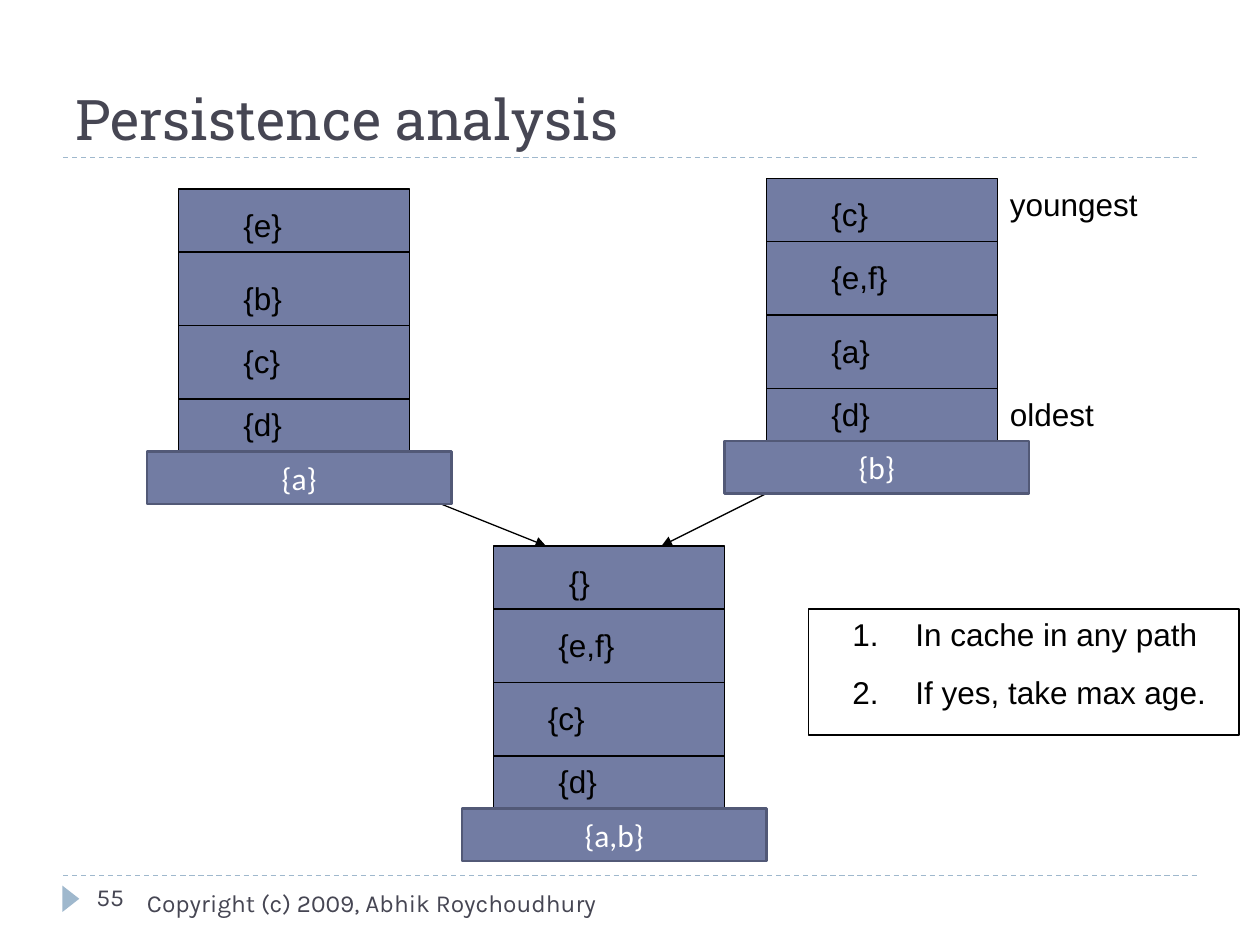
"""Build the persistence analysis slide with two cache states and their join."""
from dataclasses import dataclass
from typing import Optional

from lxml import etree
from pptx import Presentation
from pptx.dml.color import RGBColor
from pptx.enum.dml import MSO_LINE
from pptx.enum.shapes import MSO_CONNECTOR, MSO_SHAPE
from pptx.enum.text import MSO_ANCHOR, PP_ALIGN
from pptx.oxml.ns import qn
from pptx.util import Cm, Pt

RECT, TRIANGLE = MSO_SHAPE.RECTANGLE, MSO_SHAPE.ISOSCELES_TRIANGLE
STRAIGHT, DASH = MSO_CONNECTOR.STRAIGHT, MSO_LINE.DASH
LEFT, CENTER, RIGHT = PP_ALIGN.LEFT, PP_ALIGN.CENTER, PP_ALIGN.RIGHT
TOP, MIDDLE, BOTTOM = MSO_ANCHOR.TOP, MSO_ANCHOR.MIDDLE, MSO_ANCHOR.BOTTOM

BLACK = RGBColor(0x00, 0x00, 0x00)
WHITE = RGBColor(0xFF, 0xFF, 0xFF)
SLATE = RGBColor(0x46, 0x46, 0x53)
BLUE = RGBColor(0x72, 0x7C, 0xA3)
DARK_BLUE = RGBColor(0x52, 0x59, 0x77)
PALE_BLUE = RGBColor(0x9F, 0xB8, 0xCD)

STACK_W, STACK_H = 22, 25
DIVIDERS = (6, 13, 20)
BASE_W, BASE_H = 29, 5
LABEL_W, LABEL_H = 13, 4.8


@dataclass(frozen=True)
class Font:
    name: str
    size: float
    color: RGBColor


@dataclass(frozen=True)
class Label:
    text: str
    dx: float
    dy: float


@dataclass(frozen=True)
class Stack:
    left: float
    top: float
    labels: tuple[Label, ...]
    base_text: str
    base_dx: float


TITLE = Font("Roboto Slab", 32, SLATE)
FOOTER = Font("Karla", 14, SLATE)
BODY = Font("Arial", 18, BLACK)
BASE = Font("Calibri", 18, WHITE)

STACKS = (
    Stack(17, 18, (Label("{e}", 5, 1), Label("{b}", 5, 8),
                   Label("{c}", 5, 14), Label("{d}", 5, 20)), "{a}", -3),
    Stack(73, 17, (Label("{c}", 5, 1), Label("{e,f}", 5, 7),
                   Label("{a}", 5, 14), Label("{d}", 5, 20)), "{b}", -4),
    Stack(47, 52, (Label("{}", 6, 1), Label("{e,f}", 5, 7),
                   Label("{c}", 4, 14), Label("{d}", 5, 20)), "{a,b}", -3),
)
ARROWS = ((42, 48, 52, 52), (73, 47, 63, 52))
RULES = (("youngest", 17), ("oldest", 37))
STEPS = ("In cache in any path", "If yes, take max age.")


def grid(n: float) -> Cm:
    """Return a length of n twelfths of an inch."""
    return Cm(n * 2.54 / 12)


def add_line(s, x1: float, y1: float, x2: float, y2: float,
             color: RGBColor = BLACK, dashed: bool = False, arrow: bool = False) -> None:
    """Draw a straight line, optionally dashed or with an arrowhead."""
    cx = s.shapes.add_connector(STRAIGHT, grid(x1), grid(y1), grid(x2), grid(y2))
    cx.line.color.rgb = color
    cx.line.width = Pt(0.75)
    if dashed:
        cx.line.dash_style = DASH
    if arrow:
        etree.SubElement(cx.line._get_or_add_ln(), qn("a:tailEnd"), type="triangle")
    etree.SubElement(cx._element.spPr, qn("a:effectLst"))


def add_box(s, left: float, top: float, width: float, height: float,
            fill: Optional[RGBColor] = None, line: Optional[RGBColor] = None,
            weight: float = 0.75, kind: MSO_SHAPE = RECT):
    """Draw a preset shape with its fill and outline."""
    sp = s.shapes.add_shape(kind, grid(left), grid(top), grid(width), grid(height))
    sp.shadow.inherit = False
    if fill is None:
        sp.fill.background()
    else:
        sp.fill.solid()
        sp.fill.fore_color.rgb = fill
    if line is None:
        sp.line.fill.background()
    else:
        sp.line.color.rgb = line
        sp.line.width = Pt(weight)
    return sp


def write(tf, lines: tuple[str, ...], font: Font, align: PP_ALIGN = LEFT,
          anchor: MSO_ANCHOR = TOP, numbered: bool = False) -> None:
    """Fill a text frame with one paragraph per line."""
    tf.word_wrap = True
    tf.vertical_anchor = anchor
    for i, text in enumerate(lines):
        p = tf.add_paragraph() if i else tf.paragraphs[0]
        p.alignment = align
        if i:
            p.space_before = Pt(11.2)
        if numbered:
            pPr = p._p.get_or_add_pPr()
            pPr.set("marL", str(grid(6)))
            pPr.set("indent", str(-grid(6)))
            etree.SubElement(pPr, qn("a:buFont"), typeface=font.name)
            etree.SubElement(pPr, qn("a:buAutoNum"), type="arabicPeriod")
        r = p.add_run()
        r.text = text
        r.font.name = font.name
        r.font.size = Pt(font.size)
        r.font.color.rgb = font.color


def add_text(s, left: float, top: float, width: float, height: float,
             lines: tuple[str, ...], font: Font, align: PP_ALIGN = LEFT,
             anchor: MSO_ANCHOR = TOP, numbered: bool = False) -> None:
    """Place a text box."""
    sp = s.shapes.add_textbox(grid(left), grid(top), grid(width), grid(height))
    write(sp.text_frame, lines, font, align, anchor, numbered)


def add_stack(s, stack: Stack) -> None:
    """Draw a cache stack with its dividers."""
    add_box(s, stack.left, stack.top, STACK_W, STACK_H, BLUE, BLACK)
    for dy in DIVIDERS:
        y = stack.top + dy
        add_line(s, stack.left, y, stack.left + STACK_W, y)


def add_labels(s, stack: Stack) -> None:
    """Write the cache contents of a stack."""
    for label in stack.labels:
        add_text(s, stack.left + label.dx, stack.top + label.dy,
                 LABEL_W, LABEL_H, (label.text,), BODY)


def add_base(s, stack: Stack) -> None:
    """Draw the wide block under a stack."""
    sp = add_box(s, stack.left + stack.base_dx, stack.top + STACK_H,
                 BASE_W, BASE_H, BLUE, DARK_BLUE, 1.5)
    write(sp.text_frame, (stack.base_text,), BASE, CENTER, MIDDLE)


def main() -> None:
    """Build and save the slide."""
    prs = Presentation()
    prs.slide_width, prs.slide_height = Cm(25.4), Cm(19.05)
    s = prs.slides.add_slide(prs.slide_layouts[6])

    for y in (83.4, 15):
        add_line(s, 6, y, 114, y, PALE_BLUE, dashed=True)
    marker = add_box(s, 5.5, 84.8, 2.5, 1.6, PALE_BLUE, kind=TRIANGLE)
    marker.rotation = 90
    add_text(s, 6, 2, 108, 13, ("Persistence analysis",), TITLE, anchor=BOTTOM)
    add_text(s, 6, 84, 52, 6, ("Copyright (c) 2009, Abhik Roychoudhury",), FOOTER, RIGHT)
    add_text(s, 8, 83.4, 26, LABEL_H, ("55",), FOOTER)

    for stack in STACKS:
        add_stack(s, stack)
    for ends in ARROWS:
        add_line(s, *ends, arrow=True)
    for stack in STACKS:
        add_labels(s, stack)
    for text, top in RULES:
        add_text(s, 95, top, 17, LABEL_H, (text,), BODY)
    add_text(s, 80, 58, 40, 10.3, STEPS, BODY, numbered=True)
    add_box(s, 77, 58, 41, 12, line=BLACK)
    for stack in STACKS:
        add_base(s, stack)

    prs.save("out.pptx")


if __name__ == "__main__":
    main()
